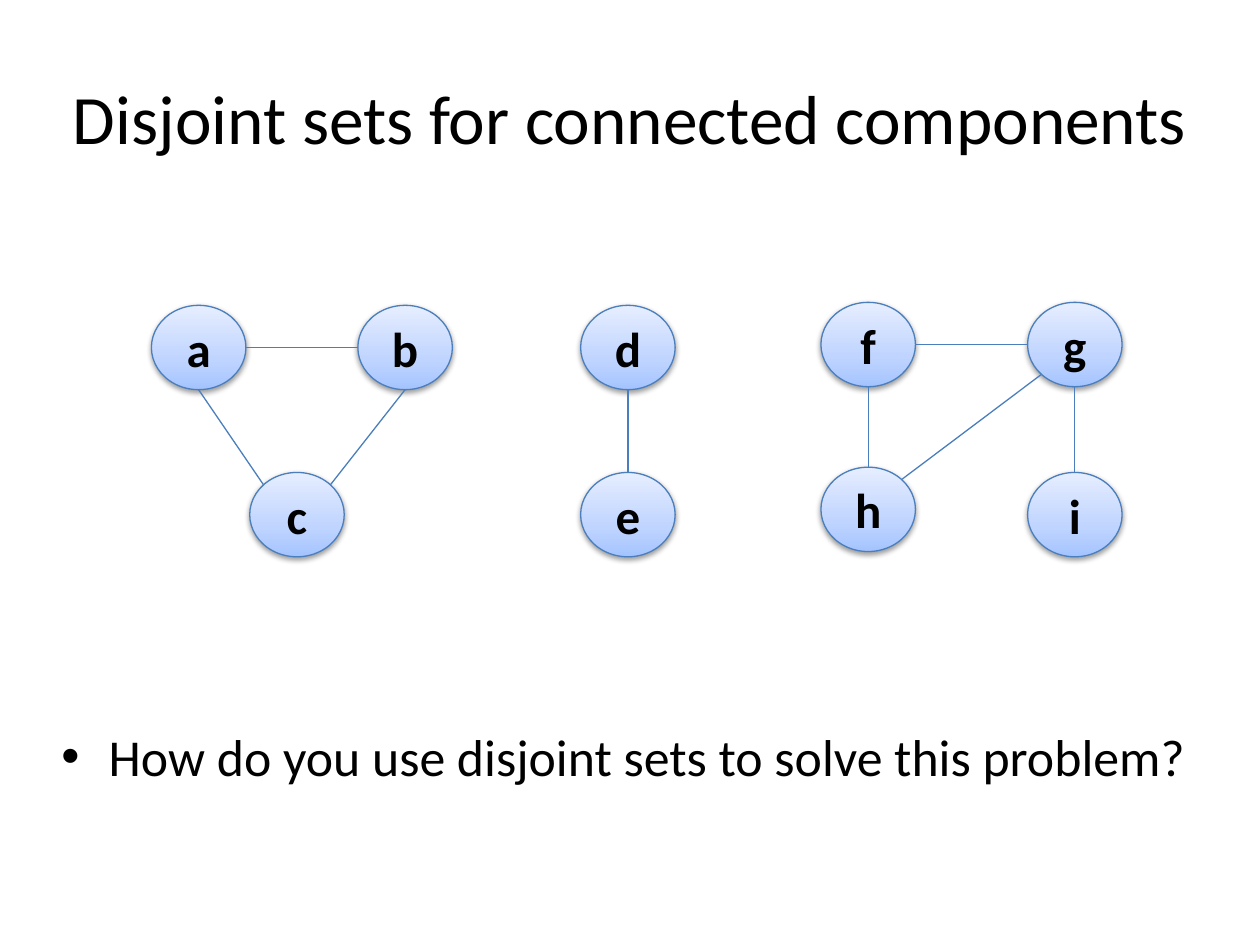
"""Build a slide showing three connected components as graphs."""
from lxml import etree
from pptx import Presentation
from pptx.dml.color import RGBColor
from pptx.enum.shapes import MSO_CONNECTOR, MSO_SHAPE
from pptx.enum.text import MSO_ANCHOR, PP_ALIGN
from pptx.oxml import parse_xml
from pptx.oxml.ns import qn
from pptx.util import Pt

OVAL = MSO_SHAPE.OVAL
STRAIGHT = MSO_CONNECTOR.STRAIGHT
TOP, MIDDLE = MSO_ANCHOR.TOP, MSO_ANCHOR.MIDDLE
LEFT, CENTER = PP_ALIGN.LEFT, PP_ALIGN.CENTER
BLACK = RGBColor(0x00, 0x00, 0x00)
BLUE = RGBColor(0x4B, 0x7E, 0xBC)
SHADES = [(0, "A4C4FF"), (35, "BFD4FF"), (100, "E6EEFF")]
SPACE = 'xmlns:a="http://schemas.openxmlformats.org/drawingml/2006/main"'
STOPS = "".join(
    f'<a:gs pos="{pos * 1000}"><a:srgbClr val="{shade}"/></a:gs>' for pos, shade in SHADES
)
SHADOW = (
    f'<a:outerShdw {SPACE} blurRad="{Pt(3.15)}" dist="{Pt(1.57)}" dir="5400000" rotWithShape="0">'
    '<a:srgbClr val="000000"><a:alpha val="38000"/></a:srgbClr></a:outerShdw>'
)


def write(shape, text, size, bold=False, align=CENTER, anchor=MIDDLE):
    """Put formatted text in a shape and return its paragraph."""
    frame = shape.text_frame
    frame.word_wrap = True
    frame.vertical_anchor = anchor
    para = frame.paragraphs[0]
    para.alignment = align
    run = para.add_run()
    run.text = text
    font = run.font
    font.name, font.size, font.bold = "Calibri", Pt(size), bold
    font.color.rgb = BLACK
    return para


deck = Presentation()
deck.slide_width, deck.slide_height = Pt(720), Pt(540)
slide = deck.slides.add_slide(deck.slide_layouts[6])
shapes = slide.shapes

title = shapes.add_textbox(Pt(28), Pt(21.6), Pt(664), Pt(90))
write(title, "Disjoint sets for connected components", 39.6)

body = shapes.add_textbox(Pt(28), Pt(410.4), Pt(669.6), Pt(72))
para = write(body, "How do you use disjoint sets to solve this problem?", 29.6,
             align=LEFT, anchor=TOP)
para.space_before = Pt(5.9)
props = para._p.get_or_add_pPr()
props.set("marL", str(Pt(27)))
props.set("indent", str(-Pt(27)))
etree.SubElement(props, qn("a:buFont")).set("typeface", "Arial")
etree.SubElement(props, qn("a:buChar")).set("char", "•")

WIDE, HIGH = 54, 48.2
NODES = {
    "a": (86.5, 174.5), "b": (204.5, 174.5), "c": (142.7, 270),
    "d": (331.8, 174.5), "e": (331.8, 270),
    "f": (469.1, 172.8), "g": (587.2, 172.8),
    "h": (469.1, 267), "i": (587.2, 270),
}
DIAG = 0.5 ** 0.5
EAST, WEST, NORTH, SOUTH = (1, 0), (-1, 0), (0, -1), (0, 1)
EDGES = [
    ("a", EAST, "b", WEST),
    ("a", SOUTH, "c", (-DIAG, -DIAG)),
    ("b", SOUTH, "c", (DIAG, -DIAG)),
    ("d", SOUTH, "e", NORTH),
    ("f", EAST, "g", WEST),
    ("f", SOUTH, "h", NORTH),
    ("g", (-DIAG, DIAG), "h", (DIAG, -DIAG)),
    ("g", SOUTH, "i", NORTH),
]

for name, (left, top) in NODES.items():
    node = shapes.add_shape(OVAL, Pt(left), Pt(top), Pt(WIDE), Pt(HIGH))
    node.fill.gradient()
    node.fill.gradient_angle = 90
    props = node._element.spPr
    old = props.find(".//" + qn("a:gsLst"))
    old.getparent().replace(old, parse_xml(f"<a:gsLst {SPACE}>{STOPS}</a:gsLst>"))
    node.line.color.rgb = BLUE
    node.line.width = Pt(0.75)
    node.shadow.inherit = False
    props.find(qn("a:effectLst")).append(parse_xml(SHADOW))
    write(node, name, 28, bold=True)

for start, out, end, into in EDGES:
    ends = []
    for name, (across, down) in ((start, out), (end, into)):
        left, top = NODES[name]
        ends += [Pt(left + WIDE / 2 * (1 + across)), Pt(top + HIGH / 2 * (1 + down))]
    edge = shapes.add_connector(STRAIGHT, *ends)
    edge.line.color.rgb = BLUE
    edge.line.width = Pt(0.75)
    etree.SubElement(edge._element.spPr, qn("a:effectLst"))

deck.save("out.pptx")
